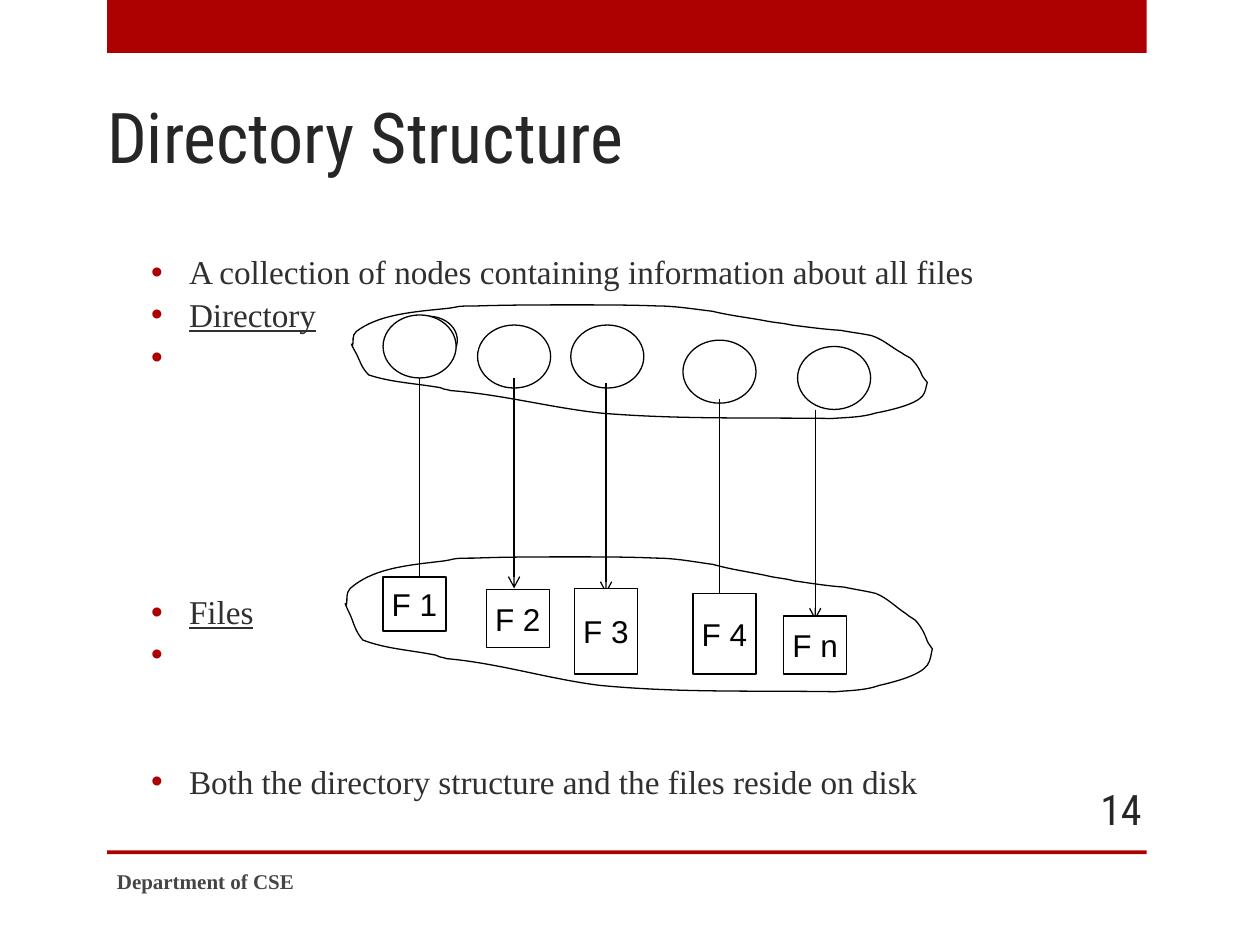
from lxml.etree import SubElement
from pptx import Presentation
from pptx.dml.color import RGBColor
from pptx.enum.shapes import MSO_CONNECTOR, MSO_SHAPE
from pptx.enum.text import MSO_ANCHOR, MSO_AUTO_SIZE, PP_ALIGN
from pptx.oxml.ns import qn
from pptx.util import Inches, Pt

COLORS = {"accent": "AD0101", "title": "262626", "body": "303030",
          "footer": "454545", "black": "000000", "white": "FFFFFF"}
HEADING_FONT, BODY_FONT, LABEL_FONT = "Roboto Condensed", "Times New Roman", "Arial"

# Cloud outline as cubic curves: two control points and an end point each
CLOUD_BOX = (2.73, 4.42, 4.66, 1.08)
CLOUD_START = (2.75, 4.8)
CLOUD_CURVES = [
    (2.76, 4.76, 2.74, 4.71, 2.78, 4.67), (2.95, 4.52, 3.2, 4.49, 3.46, 4.46),
    (3.65, 4.44, 3.54, 4.43, 3.76, 4.43), (4.02, 4.42, 4.28, 4.42, 4.54, 4.42),
    (4.76, 4.42, 4.99, 4.42, 5.21, 4.43), (5.36, 4.43, 5.51, 4.46, 5.66, 4.48),
    (5.8, 4.52, 5.95, 4.54, 6.09, 4.57), (6.17, 4.59, 6.23, 4.59, 6.3, 4.61),
    (6.44, 4.63, 6.56, 4.65, 6.7, 4.66), (6.79, 4.68, 6.87, 4.69, 6.95, 4.71),
    (7.05, 4.75, 7.11, 4.82, 7.19, 4.87), (7.22, 4.9, 7.26, 4.91, 7.28, 4.94),
    (7.32, 4.99, 7.34, 5.03, 7.36, 5.09), (7.37, 5.11, 7.4, 5.15, 7.4, 5.15),
    (7.39, 5.18, 7.39, 5.24, 7.36, 5.28), (7.3, 5.36, 7.11, 5.41, 6.98, 5.44),
    (6.87, 5.48, 6.75, 5.48, 6.63, 5.49), (5.97, 5.48, 5.39, 5.5, 4.76, 5.44),
    (4.36, 5.39, 3.98, 5.27, 3.57, 5.23), (3.56, 5.23, 3.54, 5.23, 3.52, 5.22),
    (3.5, 5.22, 3.48, 5.21, 3.46, 5.2), (3.26, 5.16, 3.06, 5.15, 2.88, 5.08),
    (2.82, 5.01, 2.81, 4.95, 2.78, 4.88), (2.78, 4.88, 2.74, 4.8, 2.74, 4.79),
    (2.73, 4.78, 2.75, 4.8, 2.75, 4.8),
]


class SlideBuilder:
    def __init__(self, slide):
        self.slide = slide

    def color(self, name):
        return RGBColor.from_string(COLORS[name])

    def place(self, shape, box):
        shape.left, shape.top, shape.width, shape.height = map(Inches, box)

    def outline(self, shape):
        shape.line.color.rgb = self.color("black")
        shape.line.width = Pt(0.75)

    def format_text(self, paragraph, size, font, color, bold=False, underline=False):
        for run in paragraph.runs:
            run.font.size, run.font.name = Pt(size), font
            run.font.color.rgb = self.color(color)
            run.font.bold, run.font.underline = bold, underline

    def title(self, text, box):
        shape = self.slide.shapes.title
        self.place(shape, box)
        frame = shape.text_frame
        frame.text = text
        frame.auto_size = MSO_AUTO_SIZE.NONE
        frame.vertical_anchor = MSO_ANCHOR.BOTTOM
        frame.paragraphs[0].alignment = PP_ALIGN.LEFT
        self.format_text(frame.paragraphs[0], 40, HEADING_FONT, "title")

    def bullets(self, items, box):
        shape = self.slide.placeholders[1]
        self.place(shape, box)
        frame = shape.text_frame
        frame.text = "\n".join(text for text, _, _ in items)
        frame.auto_size = MSO_AUTO_SIZE.NONE
        frame.vertical_anchor = MSO_ANCHOR.TOP
        frame.margin_top = Inches(0.11)
        for paragraph, (_, space_before, underline) in zip(frame.paragraphs, items):
            paragraph.level = 1
            properties = paragraph._p.get_or_add_pPr()
            properties.set("marL", str(Inches(0.65)))
            properties.set("indent", str(Inches(-0.3)))
            bullet_color = SubElement(properties, qn("a:buClr"))
            SubElement(bullet_color, qn("a:srgbClr"), val=COLORS["accent"])
            SubElement(properties, qn("a:buFont"), typeface=LABEL_FONT)
            SubElement(properties, qn("a:buChar"), char="•")
            paragraph.alignment = PP_ALIGN.JUSTIFY
            paragraph.line_spacing = 0.9
            paragraph.space_before = Pt(space_before)
            self.format_text(paragraph, 19, BODY_FONT, "body", underline=underline)

    def text(self, text, box, size, font, color, alignment, bold=False):
        shape = self.slide.shapes.add_textbox(*map(Inches, box))
        frame = shape.text_frame
        frame.word_wrap = True
        frame.text = text
        frame.vertical_anchor = MSO_ANCHOR.MIDDLE
        frame.paragraphs[0].alignment = alignment
        self.format_text(frame.paragraphs[0], size, font, color, bold)

    def shape(self, kind, box, fill="white", outlined=True):
        shape = self.slide.shapes.add_shape(kind, *map(Inches, box))
        shape.shadow.inherit = False
        shape.fill.solid()
        shape.fill.fore_color.rgb = self.color(fill)
        if outlined:
            self.outline(shape)
        else:
            shape.line.fill.background()
        return shape

    def file_box(self, label, box):
        frame = self.shape(MSO_SHAPE.RECTANGLE, box).text_frame
        frame.word_wrap = False
        frame.text = label
        frame.vertical_anchor = MSO_ANCHOR.MIDDLE
        frame.paragraphs[0].alignment = PP_ALIGN.CENTER
        self.format_text(frame.paragraphs[0], 18, LABEL_FONT, "black")

    def cloud(self, box):
        left, top, width, height = box
        base_left, base_top, base_width, base_height = CLOUD_BOX

        def scaled(x, y):
            return (Inches(left + (x - base_left) * width / base_width),
                    Inches(top + (y - base_top) * height / base_height))

        builder = self.slide.shapes.build_freeform(*scaled(*CLOUD_START))
        builder.add_line_segments([scaled(*curve[4:]) for curve in CLOUD_CURVES], close=True)
        shape = builder.convert_to_shape()
        # Bend each straight segment into its cubic curve
        segments = list(shape._element.iter(qn("a:lnTo")))
        for segment, curve in zip(segments, CLOUD_CURVES):
            segment.tag = qn("a:cubicBezTo")
            for index in (0, 2):
                x, y = scaled(*curve[index:index + 2])
                point = SubElement(segment, qn("a:pt"))
                point.set("x", str(x - shape.left))
                point.set("y", str(y - shape.top))
            segment.append(segment[0])
        shape.shadow.inherit = False
        shape.fill.background()
        self.outline(shape)

    def arrow(self, x, top, bottom):
        connector = self.slide.shapes.add_connector(
            MSO_CONNECTOR.STRAIGHT, *map(Inches, (x, top, x, bottom)))
        self.outline(connector)
        SubElement(connector.line._get_or_add_ln(), qn("a:tailEnd"), type="arrow")
        SubElement(connector._element.spPr, qn("a:effectLst"))


def main():
    presentation = Presentation()
    presentation.slide_width, presentation.slide_height = Inches(10), Inches(7.5)
    slide = presentation.slides.add_slide(presentation.slide_layouts[1])
    builder = SlideBuilder(slide)

    # Top band and footer rule
    for top, height in ((0, 0.42), (6.75, 0.03)):
        builder.shape(MSO_SHAPE.RECTANGLE, (0.85, top, 8.25, height), "accent", False)

    # Title, bullets and footer
    builder.title("Directory Structure", (0.75, 0.67, 8.5, 0.79))
    builder.bullets([
        ("A collection of nodes containing information about all files", 0, False),
        ("Directory", 3.8, True),
        (" ", 3.8, False),
        ("Files", 125.2, True),
        (" ", 3.8, False),
        ("Both the directory structure and the files reside on disk", 52, False),
    ], (0.75, 1.92, 8.5, 4.92))
    builder.text("14", (8.33, 6.22, 0.83, 0.4), 24, HEADING_FONT, "title", PP_ALIGN.RIGHT)
    builder.text("Department of CSE", (0.83, 6.79, 5.33, 0.4), 12, BODY_FONT,
                 "footer", PP_ALIGN.LEFT, bold=True)

    # Clouds around the files and the directory
    builder.cloud(CLOUD_BOX)
    builder.cloud((2.78, 2.42, 4.57, 0.91))

    # Directory nodes
    builder.shape(MSO_SHAPE.OVAL, (3.17, 2.51, 0.46, 0.38))
    for left, top in ((3.04, 2.5), (3.79, 2.58), (4.53, 2.58), (5.42, 2.7), (6.33, 2.75)):
        builder.shape(MSO_SHAPE.OVAL, (left, top, 0.58, 0.5))

    # Arrows from nodes to files
    for x, top in ((3.33, 3), (4.08, 3), (4.81, 3.04), (5.71, 3.17), (6.47, 3.25)):
        builder.arrow(x, top, top + 1.67)

    # Files
    for label, left, top, height in (("F 3", 4.56, 4.67, 0.68), ("F 4", 5.5, 4.71, 0.64),
                                     ("F 2", 3.86, 4.68, 0.46), ("F 1", 3.04, 4.58, 0.43),
                                     ("F n", 6.22, 4.89, 0.46)):
        builder.file_box(label, (left, top, 0.5, height))

    presentation.save("out.pptx")


if __name__ == "__main__":
    main()
